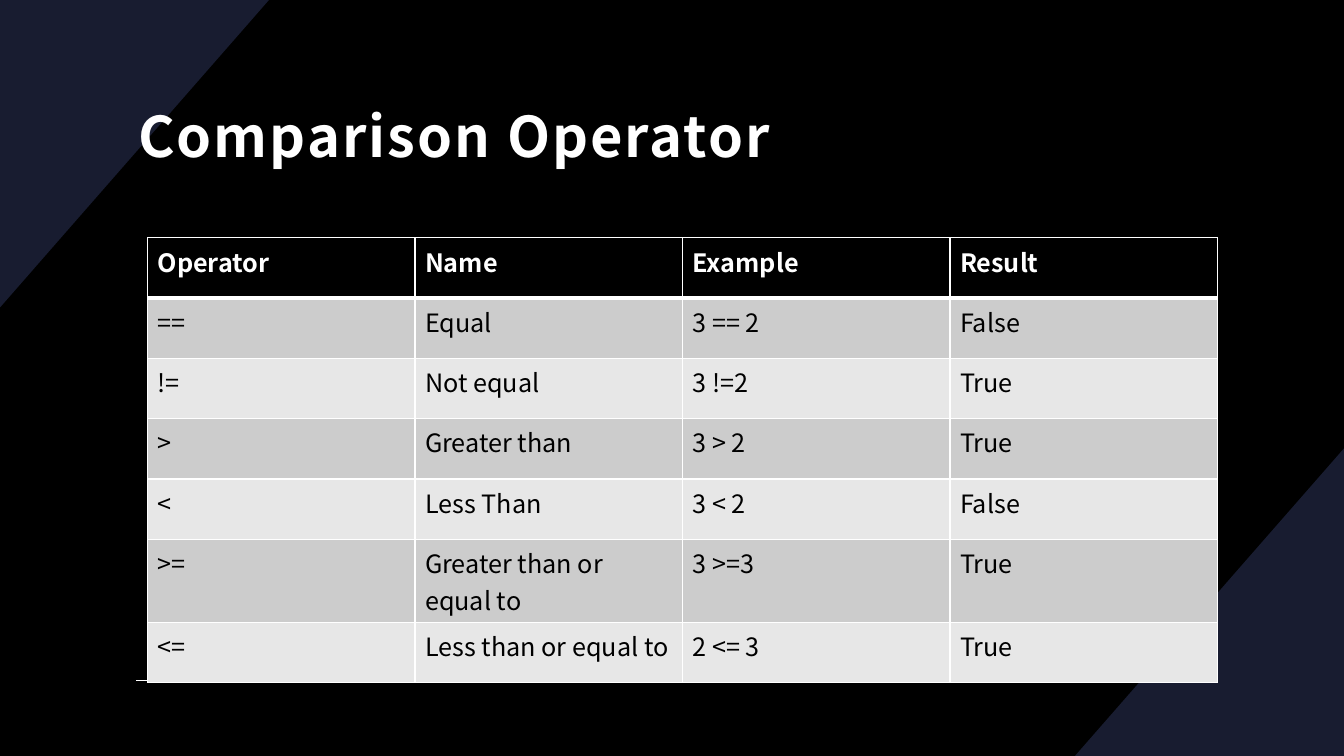
from lxml.etree import SubElement
from pptx import Presentation
from pptx.dml.color import RGBColor
from pptx.enum.shapes import MSO_CONNECTOR as Connector
from pptx.enum.text import MSO_ANCHOR as Anchor, MSO_AUTO_SIZE as AutoSize, PP_ALIGN as Align
from pptx.oxml.ns import qn
from pptx.util import Cm, Pt

FONT = "Noto Sans CJK SC"
COLOURS = {
    "black": "000000",
    "white": "FFFFFF",
    "navy": "181C30",
    "dark band": "CCCCCC",
    "light band": "E7E7E7",
}
OPERATORS = [
    ("Operator", "Name", "Example", "Result"),
    ("==", "Equal", "3 == 2", "False"),
    ("!=", "Not equal", "3 !=2", "True"),
    (">", "Greater than", "3 > 2", "True"),
    ("<", "Less Than", "3 < 2", "False"),
    (">=", "Greater than or equal to", "3 >=3", "True"),
    ("<=", "Less than or equal to", "2 <= 3", "True"),
]
WIDTH, HEIGHT = Cm(33.87), Cm(19.05)
CORNER_WIDTH, CORNER_HEIGHT = Cm(6.78), Cm(7.75)
COLUMN_WIDTH, ROW_HEIGHT = Cm(6.74), Cm(1.52)


def colour(name):
    return RGBColor.from_string(COLOURS[name])


def paint(fill, name):
    fill.solid()
    fill.fore_color.rgb = colour(name)


def add_run(paragraph, text, size, name, bold=False):
    run = paragraph.add_run()
    run.text = text
    run.font.name = FONT
    run.font.size = Pt(size)
    run.font.bold = bold
    run.font.color.rgb = colour(name)
    return run


def add_corner(slide, start, *others):
    builder = slide.shapes.build_freeform(*start, scale=1.0)
    builder.add_line_segments(others, close=True)
    shape = builder.convert_to_shape()
    shape.shadow.inherit = False
    paint(shape.fill, "navy")
    shape.line.fill.background()


def add_rule(slide, left, right, top):
    connector = slide.shapes.add_connector(Connector.STRAIGHT, left, top, right, top)
    connector.line.color.rgb = colour("white")
    connector.line.width = Pt(1)
    SubElement(connector._element.spPr, qn("a:effectLst"))


def set_title(slide, text):
    title = slide.shapes.title
    title._element.getparent().append(title._element)
    title.left, title.top, title.width, title.height = Cm(3.18), Cm(1.4), Cm(27.5), Cm(3.78)
    frame = title.text_frame
    frame.auto_size = AutoSize.NONE
    frame.word_wrap = True
    frame.vertical_anchor = Anchor.MIDDLE
    frame.margin_left = frame.margin_right = frame.margin_top = Cm(0.3)
    frame.margin_bottom = Cm(0.25)
    paragraph = frame.paragraphs[0]
    paragraph.alignment = Align.LEFT
    paragraph.line_spacing = 1.1
    run = add_run(paragraph, text, 40, "white", bold=True)
    run.font._element.set("spc", "150")


def set_borders(cell, bottom, top):
    properties = cell._tc.get_or_add_tcPr()
    widths = {"a:lnL": 1, "a:lnR": 1, "a:lnT": top, "a:lnB": bottom}
    for tag, width in widths.items():
        line = SubElement(properties, qn(tag), w=str(Pt(width)))
        solid = SubElement(line, qn("a:solidFill"))
        SubElement(solid, qn("a:srgbClr"), val=COLOURS["white"])


def add_operator_table(slide, left, top):
    row_count, column_count = len(OPERATORS), len(OPERATORS[0])
    table = slide.shapes.add_table(
        row_count, column_count, left, top,
        COLUMN_WIDTH * column_count, ROW_HEIGHT * row_count,
    ).table
    for column in table.columns:
        column.width = COLUMN_WIDTH
    for index, values in enumerate(OPERATORS):
        table.rows[index].height = ROW_HEIGHT
        header = index == 0
        band = "black" if header else "dark band" if index % 2 else "light band"
        for column_index, text in enumerate(values):
            cell = table.cell(index, column_index)
            set_borders(cell, bottom=3 if header else 1, top=3 if index == 1 else 1)
            paint(cell.fill, band)
            add_run(cell.text_frame.paragraphs[0], text, 18,
                    "white" if header else "black", bold=header)


def main():
    presentation = Presentation()
    presentation.slide_width, presentation.slide_height = WIDTH, HEIGHT
    slide = presentation.slides.add_slide(presentation.slide_layouts[5])
    paint(slide.background.fill, "black")
    add_corner(slide, (WIDTH, HEIGHT - CORNER_HEIGHT), (WIDTH, HEIGHT),
               (WIDTH - CORNER_WIDTH, HEIGHT))
    add_corner(slide, (0, CORNER_HEIGHT), (0, 0), (CORNER_WIDTH, 0))
    add_rule(slide, Cm(3.43), Cm(30.53), Cm(17.15))
    set_title(slide, "Comparison Operator")
    add_operator_table(slide, Cm(3.72), Cm(5.99))
    presentation.save("out.pptx")


if __name__ == "__main__":
    main()
